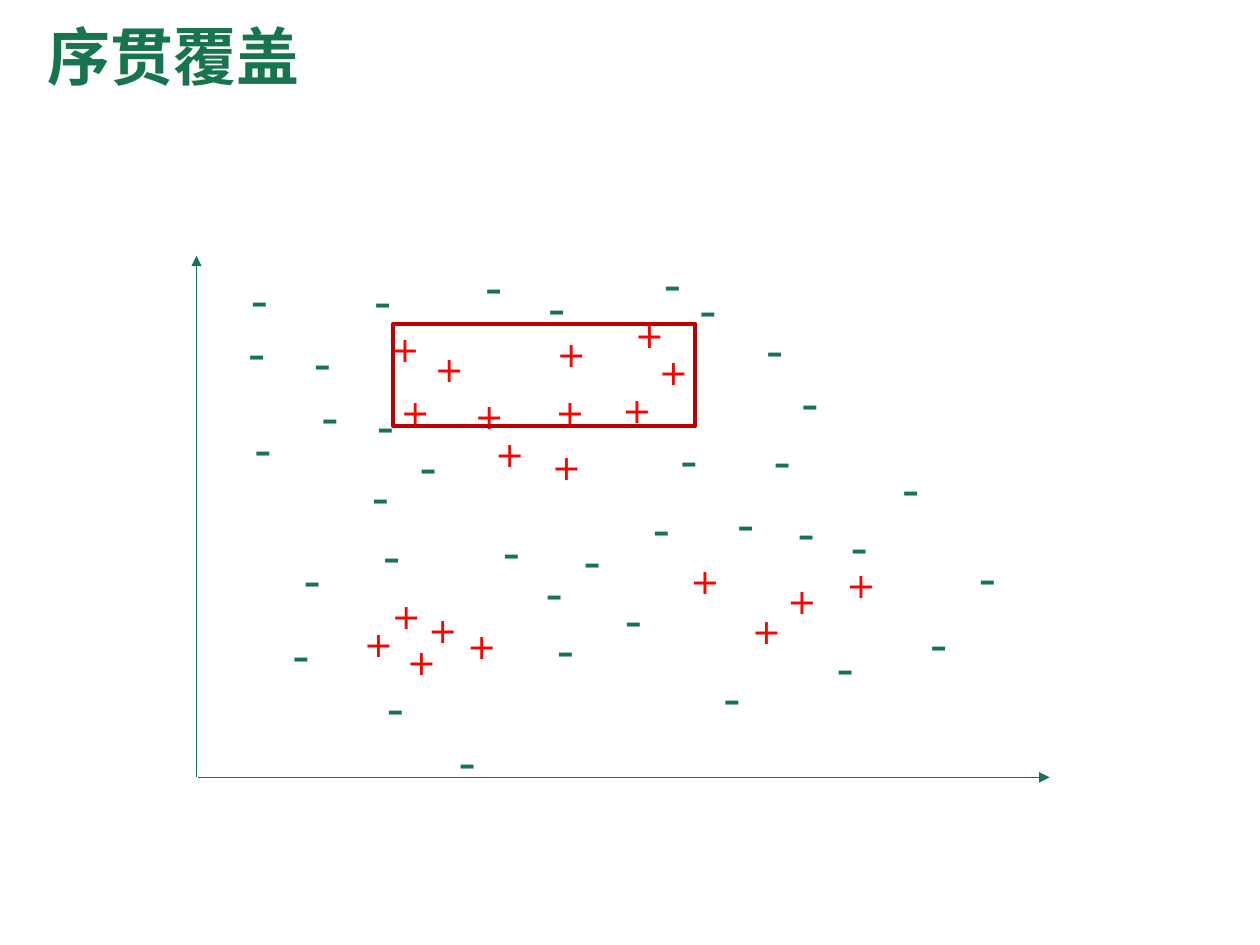
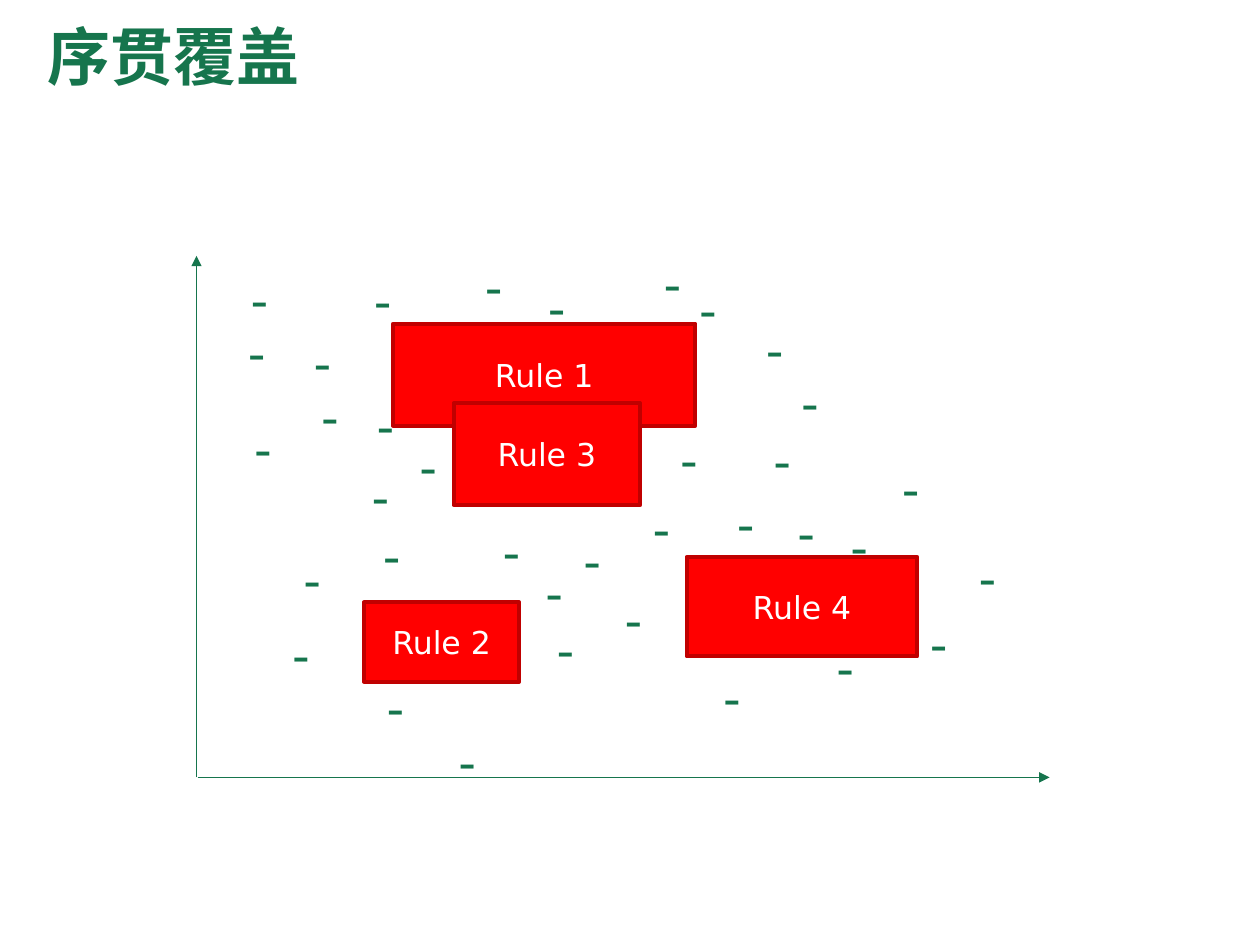
from dataclasses import dataclass

from lxml import etree
from pptx import Presentation
from pptx.dml.color import RGBColor
from pptx.enum.shapes import MSO_CONNECTOR, MSO_SHAPE
from pptx.enum.text import MSO_ANCHOR, MSO_AUTO_SIZE, PP_ALIGN
from pptx.oxml.ns import qn
from pptx.slide import Slide
from pptx.text.text import TextFrame
from pptx.util import Pt

GREEN = RGBColor(0x16, 0x75, 0x4D)
RED = RGBColor(0xFF, 0x00, 0x00)
DARK_RED = RGBColor(0xC0, 0x00, 0x00)
WHITE = RGBColor(0xFF, 0xFF, 0xFF)
FONT = "DejaVu Sans"
STRAIGHT = MSO_CONNECTOR.STRAIGHT
RECTANGLE = MSO_SHAPE.RECTANGLE
MIDDLE = MSO_ANCHOR.MIDDLE
CENTER = PP_ALIGN.CENTER
GROW = MSO_AUTO_SIZE.SHAPE_TO_FIT_TEXT
BLANK_LAYOUT = 6
TITLE = "序贯覆盖"


@dataclass(frozen=True)
class Marker:
    symbol: str
    size: float
    color: RGBColor
    height: float
    width: float = 28.1


@dataclass(frozen=True)
class Rule:
    label: str
    left: float
    top: float
    width: float
    height: float


@dataclass(frozen=True)
class Axis:
    start: tuple[float, float]
    end: tuple[float, float]


PLUS = Marker("+", 20, RED, 31.7)
MINUS = Marker("-", 28, GREEN, 41)

AXES = [
    Axis((112.3, 444.2), (112.3, 146.2)),
    Axis((113, 444.2), (599.8, 444.2)),
]

RULES = [
    Rule("Rule 1", 224.6, 185, 172.8, 58.3),
    Rule("Rule 2", 208.1, 344.2, 88.6, 45.4),
    Rule("Rule 4", 392.4, 318.2, 131.8, 56.9),
    Rule("Rule 3", 259.2, 230.4, 106.6, 58.3),
]

POSITIVES = [
    (200.9, 352.1), (259.9, 353.5), (237.6, 344.2), (225.4, 362.2),
    (216.7, 336.2), (476.6, 318.2), (387.4, 316.1), (422.6, 344.9),
    (442.8, 327.6), (311, 186.5), (369.4, 196.6), (216, 183.6),
    (241.2, 195.1), (264.2, 221.8), (221.8, 219.6), (275.8, 243.4),
    (310.3, 219.6), (308.2, 251.3), (348.5, 218.2), (355.7, 175.7),
]

NEGATIVES = [
    (254.9, 414.7), (136.1, 150.5), (134.6, 180.7), (176.4, 217.4),
    (172.1, 186.5), (450.7, 209.5), (138.2, 235.4), (208.1, 222.5),
    (205.2, 262.8), (232.6, 246.2), (166.3, 310.3), (211.7, 296.6),
    (159.8, 353.5), (280.1, 294.5), (326.2, 299.5), (304.6, 318.2),
    (381.6, 241.9), (311, 350.6), (414, 278.6), (349.9, 333.4),
    (508.3, 258.5), (434.9, 242.6), (365.8, 281.5), (478.8, 291.6),
    (406.1, 378), (470.9, 360.7), (213.8, 383.8), (430.6, 179.3),
    (448.6, 283.7), (270, 143.3), (306, 154.8), (206.6, 151.2),
    (372.2, 141.1), (392.4, 156.2), (552.2, 309.6), (524.2, 347),
]


def write(frame: TextFrame, text: str, size: float, color: RGBColor, bold: bool = False) -> None:
    span = frame.paragraphs[0].add_run()
    span.text = text
    span.font.name = FONT
    span.font.size = Pt(size)
    span.font.bold = bold
    span.font.color.rgb = color


def draw_title(page: Slide) -> None:
    frame = page.shapes.add_textbox(Pt(20.2), Pt(3.6), Pt(620.6), Pt(61.2)).text_frame
    frame.word_wrap = True
    frame.vertical_anchor = MIDDLE
    frame.paragraphs[0].line_spacing = 0.9
    write(frame, TITLE, 36, GREEN, bold=True)


def draw_axis(page: Slide, axis: Axis) -> None:
    ends = [Pt(value) for value in axis.start + axis.end]
    arrow = page.shapes.add_connector(STRAIGHT, *ends)
    arrow.line.color.rgb = GREEN
    arrow.line.width = Pt(0.5)
    etree.SubElement(arrow.line._get_or_add_ln(), qn("a:tailEnd"), type="triangle")
    etree.SubElement(arrow._element.spPr, qn("a:effectLst"))


def draw_markers(page: Slide, marker: Marker, places: list[tuple[float, float]]) -> None:
    for left, top in places:
        box = page.shapes.add_textbox(Pt(left), Pt(top), Pt(marker.width), Pt(marker.height))
        frame = box.text_frame
        frame.word_wrap = True
        frame.auto_size = GROW
        write(frame, marker.symbol, marker.size, marker.color)


def draw_rule(page: Slide, rule: Rule, filled: bool) -> None:
    box = page.shapes.add_shape(
        RECTANGLE, Pt(rule.left), Pt(rule.top), Pt(rule.width), Pt(rule.height)
    )
    box.shadow.inherit = False
    box.line.color.rgb = DARK_RED
    box.line.width = Pt(2.25)
    if not filled:
        box.fill.background()
        return
    box.fill.solid()
    box.fill.fore_color.rgb = RED
    frame = box.text_frame
    frame.vertical_anchor = MIDDLE
    frame.paragraphs[0].alignment = CENTER
    write(frame, rule.label, 18, WHITE)


def add_scatter_page(deck: Presentation) -> Slide:
    page = deck.slides.add_slide(deck.slide_layouts[BLANK_LAYOUT])
    draw_title(page)
    for axis in AXES:
        draw_axis(page, axis)
    draw_markers(page, MINUS, NEGATIVES)
    return page


def main() -> None:
    deck = Presentation()
    deck.slide_width = Pt(720)
    deck.slide_height = Pt(540)

    first_rule_page = add_scatter_page(deck)
    draw_markers(first_rule_page, PLUS, POSITIVES)
    draw_rule(first_rule_page, RULES[0], filled=False)

    all_rules_page = add_scatter_page(deck)
    for rule in RULES:
        draw_rule(all_rules_page, rule, filled=True)

    deck.save("out.pptx")


if __name__ == "__main__":
    main()
